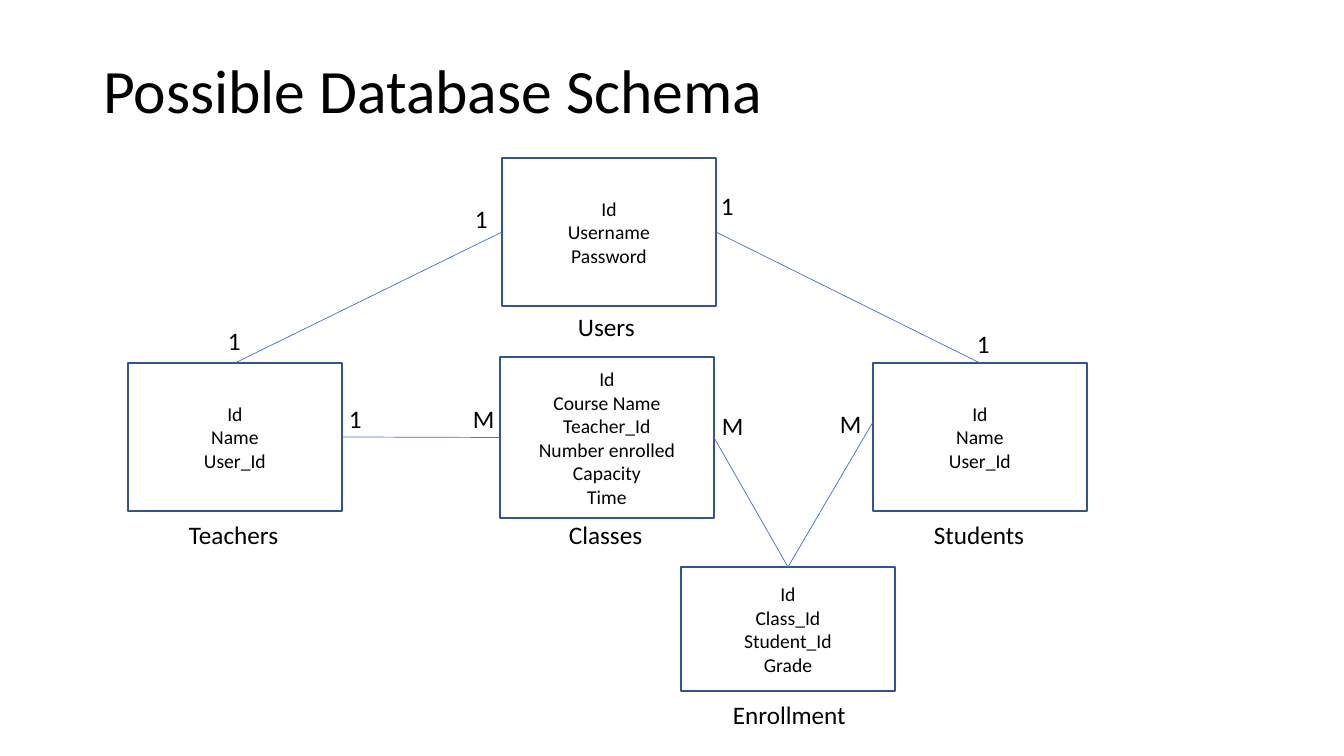
from pptx import Presentation
from pptx.dml.color import RGBColor
from pptx.enum.shapes import MSO_CONNECTOR as LINK, MSO_SHAPE as SHAPE
from pptx.enum.text import MSO_ANCHOR as ANCHOR, MSO_AUTO_SIZE as FIT, PP_ALIGN as ALIGN
from pptx.oxml.ns import qn
from pptx.util import Pt
from lxml import etree

EMU_PER_PIXEL = 914400 / 100.8
COLORS = {"text": "000000", "fill": "FFFFFF", "border": "325491", "relation": "4472C4"}
TOP, LEFT, RIGHT = 0, 1, 3  # connection sites of a rectangle


def px(*lengths):
    return [round(length * EMU_PER_PIXEL) for length in lengths]


def color(name):
    return RGBColor.from_string(COLORS[name])


class SchemaSlide:
    font = "Calibri"

    def __init__(self, slide):
        self.slide = slide
        self.shapes = slide.shapes

    def format(self, frame, size, align):
        for paragraph in frame.paragraphs:
            paragraph.alignment = align
            for run in paragraph.runs:
                run.font.name = self.font
                run.font.size = Pt(size)
                run.font.color.rgb = color("text")

    def title(self, text, *box):
        heading = self.shapes.title
        heading.left, heading.top, heading.width, heading.height = px(*box)
        frame = heading.text_frame
        frame.text = text
        frame.auto_size = FIT.NONE
        frame.vertical_anchor = ANCHOR.BOTTOM
        frame.paragraphs[0].line_spacing = 0.9
        self.format(frame, 44, ALIGN.LEFT)

    def entity(self, fields, *box):
        table = self.shapes.add_shape(SHAPE.RECTANGLE, *px(*box))
        table.shadow.inherit = False
        table.fill.solid()
        table.fill.fore_color.rgb = color("fill")
        table.line.color.rgb = color("border")
        table.line.width = Pt(1)
        frame = table.text_frame
        frame.text = "\n".join(fields)
        frame.vertical_anchor = ANCHOR.MIDDLE
        self.format(frame, 14, ALIGN.CENTER)
        return table

    def label(self, text, left, top, width):
        frame = self.shapes.add_textbox(*px(left, top, width, 40)).text_frame
        frame.text = text
        frame.word_wrap = False
        frame.auto_size = FIT.SHAPE_TO_FIT_TEXT
        self.format(frame, 18, ALIGN.LEFT)

    def relation(self, start, start_site, end, end_site=None):
        """Join two entities; an end without a site is a free point."""
        line = self.shapes.add_connector(LINK.STRAIGHT, 0, 0, 0, 0)
        line.begin_connect(start, start_site)
        if end_site is None:
            line.end_x, line.end_y = px(*end)
        else:
            line.end_connect(end, end_site)
        line.line.color.rgb = color("relation")
        line.line.width = Pt(0.5)
        etree.SubElement(line._element.spPr, qn("a:effectLst"))


deck = Presentation()
deck.slide_width, deck.slide_height = px(1344, 756)
schema = SchemaSlide(deck.slides.add_slide(deck.slide_layouts[5]))
schema.title("Possible Database Schema", 93, 40, 1159, 92)

# Entities: fields, left, top, height, then name with its left, top, width
PERSON = ["Id", "Name", "User_Id"]
COURSE = ["Id", "Course Name", "Teacher_Id", "Number enrolled", "Capacity", "Time"]
ENTITIES = [
    (PERSON, 128, 363, 148, ("Teachers", 179, 514, 111)),
    (COURSE, 500, 357, 161, ("Classes", 559, 514, 95)),
    (PERSON, 873, 363, 148, ("Students", 924, 514, 112)),
    (["Id", "Username", "Password"], 502, 158, 148, ("Users", 568, 306, 78)),
    (["Id", "Class_Id", "Student_Id", "Grade"], 681, 567, 124, ("Enrollment", 723, 694, 134)),
]
entities = {}
for fields, left, top, height, name in ENTITIES:
    entities[name[0]] = schema.entity(fields, left, top, 214, height)
    schema.label(*name)

# Relations
for start, start_site, end, end_site in [
    ("Teachers", RIGHT, "Classes", LEFT),
    ("Teachers", TOP, "Users", LEFT),
    ("Users", RIGHT, "Students", TOP),
    ("Classes", RIGHT, "Enrollment", TOP),
]:
    schema.relation(entities[start], start_site, entities[end], end_site)
schema.relation(entities["Enrollment"], TOP, (873, 422))

# Cardinalities
CARDINALITIES = {
    "1": [(339, 398), (218, 320), (465, 198), (711, 185), (967, 323)],
    "M": [(463, 398), (712, 405), (830, 403)],
}
WIDTHS = {"1": 33, "M": 42}
for mark, places in CARDINALITIES.items():
    for left, top in places:
        schema.label(mark, left, top, WIDTHS[mark])

deck.save("out.pptx")
